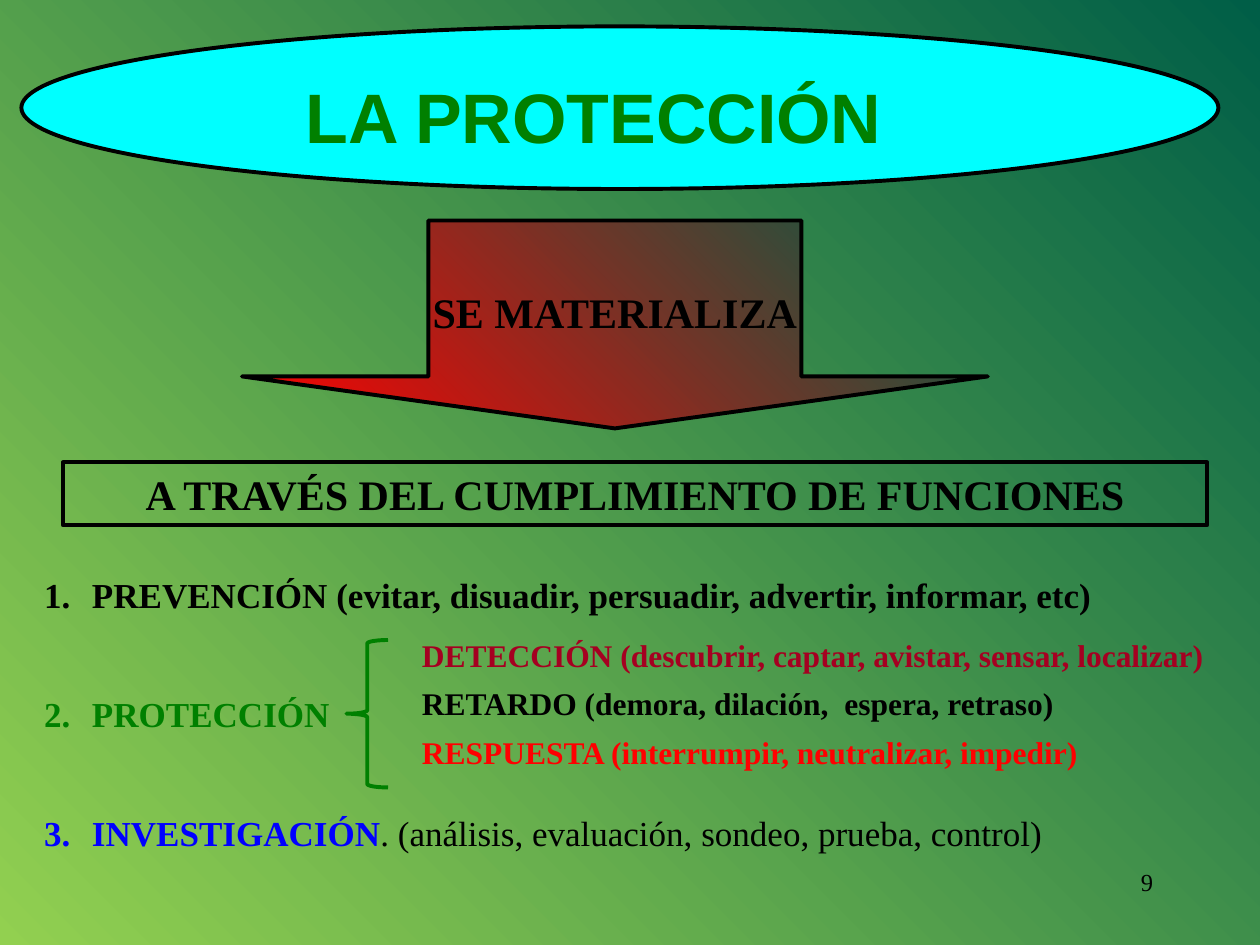
from lxml.etree import SubElement
from pptx import Presentation
from pptx.dml.color import RGBColor
from pptx.enum.shapes import MSO_SHAPE as Preset
from pptx.enum.text import MSO_ANCHOR as Anchor, MSO_AUTO_SIZE as AutoSize, PP_ALIGN as Align
from pptx.oxml.ns import qn
from pptx.util import Inches, Pt

BLACK, GREEN, RED, BLUE = "000000", "008000", "FF0000", "0000FF"
CYAN, MAROON, LIME, TEAL = "00FFFF", "A50021", "92D050", "005E47"
SERIF = "Times New Roman"


def rgb(color):
    return RGBColor.from_string(color)


def gradient(fill, start, end):
    """Diagonal blend from bottom left to top right."""
    fill.gradient()
    fill.gradient_angle = 45
    for stop, color in zip(fill.gradient_stops, (start, end)):
        stop.color.rgb = rgb(color)


class SlideBuilder:
    def __init__(self, slide, line_width=2.25):
        self.slide = slide
        self.line_width = Pt(line_width)

    def place(self, shape, box):
        shape.left, shape.top, shape.width, shape.height = map(Inches, box)

    def frame(self, shape, anchor=Anchor.TOP, wrap=True):
        frame = shape.text_frame
        frame.auto_size = AutoSize.NONE
        frame.word_wrap = wrap
        frame.vertical_anchor = anchor
        return frame

    def style(self, paragraph, size, color, bold=True, name=SERIF, align=Align.LEFT, before=0):
        paragraph.alignment = align
        paragraph.space_before = Pt(before)
        font = paragraph.font
        font.name, font.size, font.bold = name, Pt(size), bold
        font.color.rgb = rgb(color)

    def shape(self, preset, box, line=BLACK, fill=None):
        shape = self.slide.shapes.add_shape(preset, *map(Inches, box))
        shape.shadow.inherit = False
        shape.line.color.rgb = rgb(line)
        shape.line.width = self.line_width
        if fill is None:
            shape.fill.background()
        elif isinstance(fill, tuple):
            gradient(shape.fill, *fill)
        else:
            shape.fill.solid()
            shape.fill.fore_color.rgb = rgb(fill)
        return shape

    def label(self, shape, text, size, wrap=True):
        paragraph = self.frame(shape, Anchor.MIDDLE, wrap).paragraphs[0]
        paragraph.text = text
        self.style(paragraph, size, BLACK, align=Align.CENTER)

    def title(self, text, box, size, color):
        title = self.slide.shapes.title
        self.place(title, box)
        paragraph = self.frame(title, Anchor.MIDDLE).paragraphs[0]
        paragraph.text = text
        self.style(paragraph, size, color, name="Arial", align=Align.CENTER)
        return title

    def text(self, box, lines, size, bold=True, align=Align.LEFT, gap=0):
        frame = self.frame(self.slide.shapes.add_textbox(*map(Inches, box)))
        for index, (text, color) in enumerate(lines):
            paragraph = frame.add_paragraph() if index else frame.paragraphs[0]
            paragraph.text = text
            self.style(paragraph, size, color, bold, align=align, before=gap if index else 0)

    def numbered_list(self, box, items, size, gap):
        body = self.slide.placeholders[1]
        self.place(body, box)
        frame = self.frame(body)
        for index, (head, tail, color) in enumerate(items):
            paragraph = frame.add_paragraph() if index else frame.paragraphs[0]
            self.number(paragraph, index + 1, color)
            self.style(paragraph, size, color, before=gap if index else 0)
            paragraph.add_run().text = head
            if tail:
                run = paragraph.add_run()
                run.text = tail
                run.font.bold = False
                run.font.color.rgb = rgb(BLACK)

    def number(self, paragraph, start, color):
        properties = paragraph._p.get_or_add_pPr()
        properties.set("marL", str(Inches(0.38)))
        properties.set("indent", str(Inches(-0.38)))
        bullet_color = SubElement(properties, qn("a:buClr"))
        SubElement(bullet_color, qn("a:srgbClr"), val=color)
        SubElement(properties, qn("a:buFont"), typeface=SERIF)
        SubElement(properties, qn("a:buAutoNum"), type="arabicPeriod", startAt=str(start))


def main():
    presentation = Presentation()
    presentation.slide_width, presentation.slide_height = Inches(10), Inches(7.5)
    slide = presentation.slides.add_slide(presentation.slide_layouts[1])
    gradient(slide.background.fill, LIME, TEAL)
    builder = SlideBuilder(slide)

    # Title on its ellipse, which goes behind the placeholder
    title = builder.title("LA PROTECCIÓN", (1.17, 0.53, 7.08, 0.77), 40, GREEN)
    ellipse = builder.shape(Preset.OVAL, (0.17, 0.21, 9.5, 1.29), fill=CYAN)
    title.element.addprevious(ellipse.element)

    # Arrow leading to the functions banner
    arrow = builder.shape(Preset.DOWN_ARROW, (1.92, 1.75, 5.92, 1.65), fill=(RED, TEAL))
    arrow.adjustments[0], arrow.adjustments[1] = 0.5, 0.25
    builder.label(arrow, "SE MATERIALIZA", 24, wrap=False)
    banner = builder.shape(Preset.RECTANGLE, (0.5, 3.67, 9.08, 0.5))
    builder.label(banner, "A TRAVÉS DEL CUMPLIMIENTO DE FUNCIONES", 24)

    # The three functions
    builder.numbered_list((0.25, 4.5, 9.58, 2.3), [
        ("PREVENCIÓN (evitar, disuadir, persuadir, advertir, informar, etc)", "", BLACK),
        ("PROTECCIÓN", "", GREEN),
        ("INVESTIGACIÓN", ". (análisis, evaluación, sondeo, prueba, control)", BLUE),
    ], size=20, gap=44)

    # Parts of the second function
    builder.shape(Preset.LEFT_BRACE, (2.75, 5.08, 0.33, 1.17), line=GREEN)
    builder.text((3.25, 5, 6.5, 1.17), [
        ("DETECCIÓN (descubrir, captar, avistar, sensar, localizar)", MAROON),
        ("RETARDO (demora, dilación,  espera, retraso)", BLACK),
        ("RESPUESTA (interrumpir, neutralizar, impedir)", RED),
    ], size=18, gap=6)

    # Slide number
    builder.text((7.17, 6.83, 2.08, 0.5), [("9", BLACK)], 14, bold=False, align=Align.RIGHT)

    presentation.save("out.pptx")


if __name__ == "__main__":
    main()
